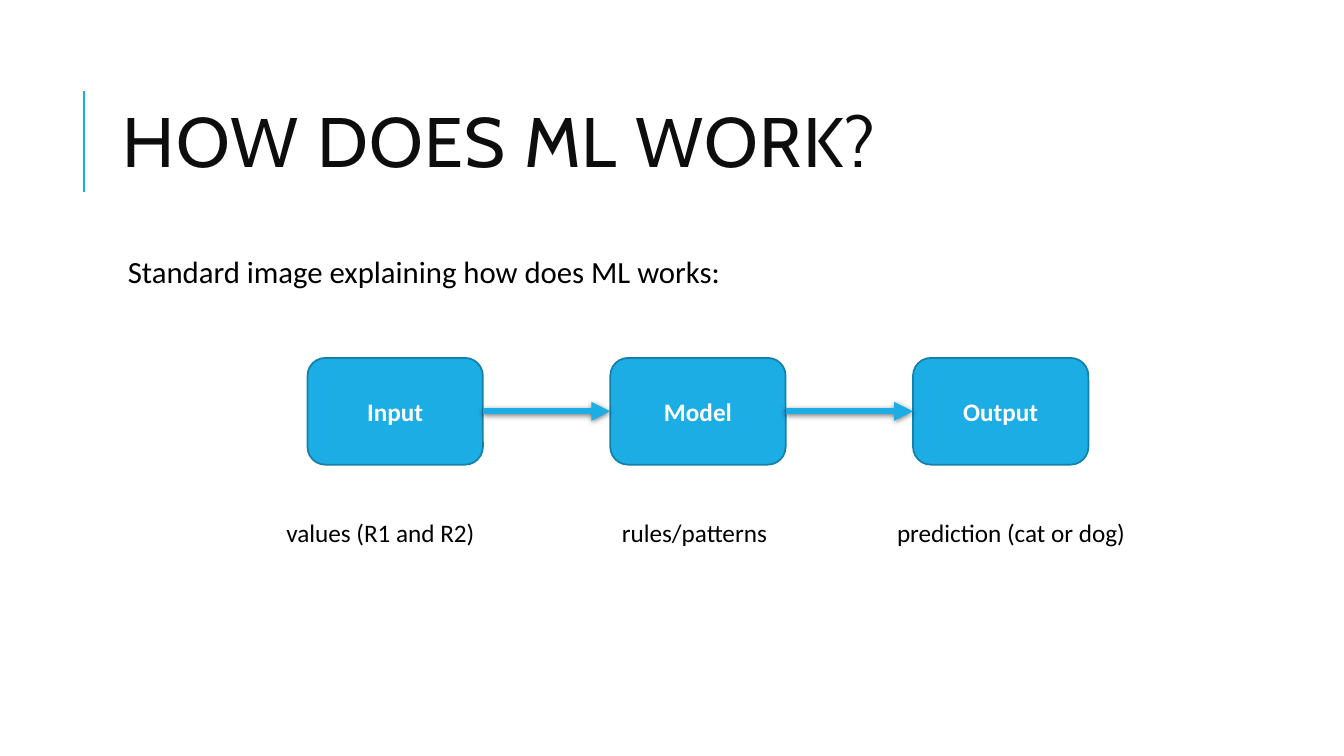
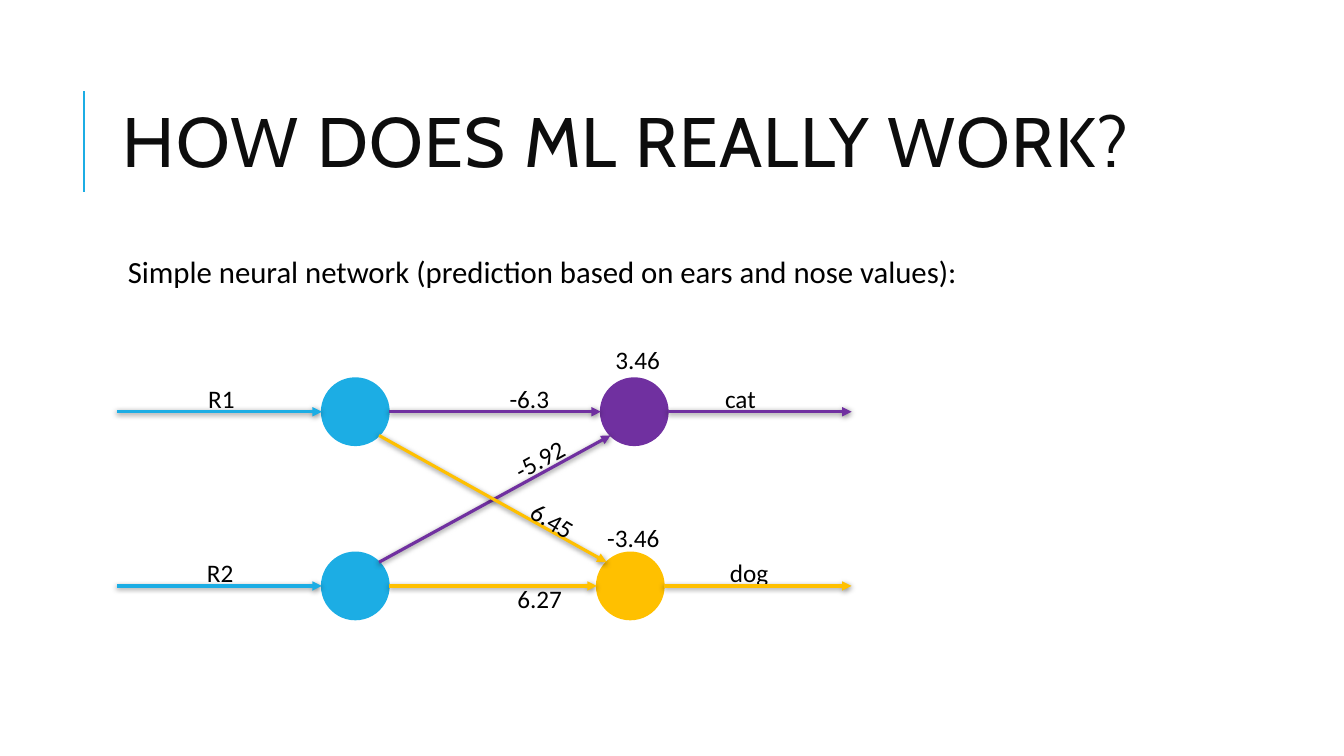
import dataclasses
import math
import lxml.etree
import pptx
import pptx.dml.color
import pptx.enum.shapes
import pptx.enum.text
import pptx.oxml.ns
import pptx.util

Cm = pptx.util.Cm
Pt = pptx.util.Pt
qn = pptx.oxml.ns.qn
ALIGN = pptx.enum.text.PP_ALIGN
ANCHOR = pptx.enum.text.MSO_ANCHOR
SHAPE = pptx.enum.shapes.MSO_SHAPE
LINE = pptx.enum.shapes.MSO_CONNECTOR.STRAIGHT


@dataclasses.dataclass(frozen=True)
class Theme:
    blue: str = "1CADE4"
    edge: str = "1580A9"
    purple: str = "7030A0"
    gold: str = "FFC000"
    ink: str = "0D0D0D"
    black: str = "000000"
    white: str = "FFFFFF"
    head: str = "Cabin"
    text: str = "Calibri"
    head_size: int = 50
    lead_size: int = 22
    note_size: int = 18


THEME = Theme()


def tint(code):
    return pptx.dml.color.RGBColor.from_string(code)


def write(frame, text, face, size, color, align=ALIGN.LEFT, bold=False):
    frame.text = text
    frame.word_wrap = True
    frame.auto_size = pptx.enum.text.MSO_AUTO_SIZE.NONE
    para = frame.paragraphs[0]
    para.alignment = align
    run = para.runs[0]
    run.font.name = face
    run.font.size = Pt(size)
    run.font.bold = bold
    run.font.color.rgb = tint(color)
    return para


def inset(frame, gap):
    frame.margin_left = frame.margin_right = Cm(gap)
    frame.margin_top = frame.margin_bottom = Cm(gap)


def place(shape, left, top, width, height):
    shape.left, shape.top = Cm(left), Cm(top)
    shape.width, shape.height = Cm(width), Cm(height)


def set_layout(deck):
    layout = deck.slide_layouts[1]
    title, body = list(layout.placeholders)[:2]
    place(title, 2.84, 1.63, 27, 4.17)
    place(body, 2.84, 6.35, 27, 11.18)
    return layout


def add_slide(deck, layout, title, lead):
    slide = deck.slides.add_slide(layout)
    frame = slide.shapes.title.text_frame
    para = write(frame, title, THEME.head, THEME.head_size, THEME.ink)
    frame.vertical_anchor = ANCHOR.MIDDLE
    para.line_spacing = 0.8
    para.runs[0]._r.get_or_add_rPr().set("spc", "100")

    frame = slide.placeholders[1].text_frame
    para = write(frame, lead, THEME.text, THEME.lead_size, THEME.black)
    inset(frame, 0.13)
    props = para._p.get_or_add_pPr()
    props.set("marL", str(Cm(0.25)))
    props.set("indent", "0")
    lxml.etree.SubElement(props, qn("a:buNone"))
    para.line_spacing = 0.9
    para.space_before = Pt(0)
    return slide


def add_line(slide, start, end, color, weight):
    line = slide.shapes.add_connector(LINE, *map(Cm, (*start, *end)))
    line.line.color.rgb = tint(color)
    line.line.width = Pt(weight)
    lxml.etree.SubElement(line.element.spPr, qn("a:effectLst"))
    return line


def add_bar(slide, layout):
    bar = add_line(slide, (2.11, 4.83), (2.11, 2.29), THEME.blue, 1.5)
    layout.shapes.element.append(bar.element)


def add_arrow(slide, start, end, color, weight=2.25):
    arrow = add_line(slide, start, end, color, weight)
    props = arrow.element.spPr
    lxml.etree.SubElement(
        props.find(qn("a:ln")), qn("a:tailEnd"), type="triangle")
    shade = lxml.etree.SubElement(
        props.find(qn("a:effectLst")), qn("a:outerShdw"),
        blurRad=str(int(Pt(4))), dist=str(int(Pt(1))),
        dir="5400000", rotWithShape="0")
    black = lxml.etree.SubElement(shade, qn("a:srgbClr"), val=THEME.black)
    lxml.etree.SubElement(black, qn("a:alpha"), val="50000")
    return arrow


def add_shape(slide, kind, left, top, width, height, fill, edge):
    shape = slide.shapes.add_shape(kind, *map(Cm, (left, top, width, height)))
    shape.shadow.inherit = False
    shape.fill.solid()
    shape.fill.fore_color.rgb = tint(fill)
    shape.line.color.rgb = tint(edge)
    shape.line.width = Pt(1.25)
    return shape


def add_label(slide, text, mid, top, width=2, turn=0):
    box = slide.shapes.add_textbox(
        Cm(mid - width / 2), Cm(top), Cm(width), Cm(1.02))
    box.rotation = turn
    frame = box.text_frame
    write(frame, text, THEME.text, THEME.note_size, THEME.black, ALIGN.CENTER)
    inset(frame, 0)
    frame.vertical_anchor = ANCHOR.MIDDLE


def draw_flow(slide):
    steps = [("Input", "values (R1 and R2)", 9.59),
             ("Model", "rules/patterns", 17.5),
             ("Output", "prediction (cat or dog)", 25.48)]
    boxes = []
    for i, (name, note, mid) in enumerate(steps):
        box = add_shape(slide, SHAPE.ROUNDED_RECTANGLE, 7.75 + 7.63 * i, 9.02,
                        4.42, 2.69, THEME.blue, THEME.edge)
        write(box.text_frame, name, THEME.text, THEME.note_size, THEME.white,
              ALIGN.CENTER, True)
        box.text_frame.vertical_anchor = ANCHOR.MIDDLE
        add_label(slide, note, mid, 12.9, 7)
        boxes.append(box)
    for left, right in zip(boxes, boxes[1:]):
        arrow = add_arrow(slide, (0, 0), (0, 0), THEME.blue, 4.5)
        arrow.begin_connect(left, 3)
        arrow.end_connect(right, 1)


def draw_net(slide):
    size = 1.69
    tops = (9.53, 13.92)
    hues = (THEME.purple, THEME.gold)

    def add_node(left, top, color):
        add_shape(slide, SHAPE.OVAL, left, top, size, size, color, color)
        return left + size / 2, top + size / 2

    def rim(node, angle):
        turn = math.radians(angle)
        return (node[0] + size / 2 * math.cos(turn),
                node[1] + size / 2 * math.sin(turn))

    ins = [add_node(8.11, top, THEME.blue) for top in tops]
    outs = [add_node(left, top, hue)
            for left, top, hue in zip((15.14, 15.04), tops, hues)]

    ends = [("R1", 5.58, "cat", 18.66), ("R2", 5.55, "dog", 18.88)]
    for (name, mid, pet, spot), top, first, last, hue in zip(
            ends, tops, ins, outs, hues):
        add_label(slide, name, mid, top)
        add_label(slide, pet, spot, top)
        add_arrow(slide, (2.95, first[1]), rim(first, 180), THEME.blue)
        add_arrow(slide, rim(first, 0), rim(last, 180), hue)
        add_arrow(slide, rim(last, 0), (21.46, last[1]), hue)
    add_arrow(slide, rim(ins[1], -45), rim(outs[0], 135), THEME.purple)
    add_arrow(slide, rim(ins[0], 45), rim(outs[1], -135), THEME.gold)

    for text, mid, top, turn in [
            ("6.45", 13.93, 12.6, 31.1), ("-5.92", 13.59, 11.05, -29.1),
            ("-6.3", 13.34, 9.53, 0), ("6.27", 13.6, 14.58, 0),
            ("3.46", 16.07, 8.56, 0), ("-3.46", 15.96, 13.03, 0)]:
        add_label(slide, text, mid, top, turn=turn)


def main():
    deck = pptx.Presentation()
    deck.slide_width, deck.slide_height = Cm(33.87), Cm(19.05)
    layout = set_layout(deck)
    flow = add_slide(deck, layout, "HOW DOES ML WORK?",
                     "Standard image explaining how does ML works:")
    add_bar(flow, layout)
    draw_flow(flow)
    net = add_slide(
        deck, layout, "HOW DOES ML REALLY WORK?",
        "Simple neural network (prediction based on ears and nose values):")
    draw_net(net)
    deck.save("out.pptx")


if __name__ == "__main__":
    main()
